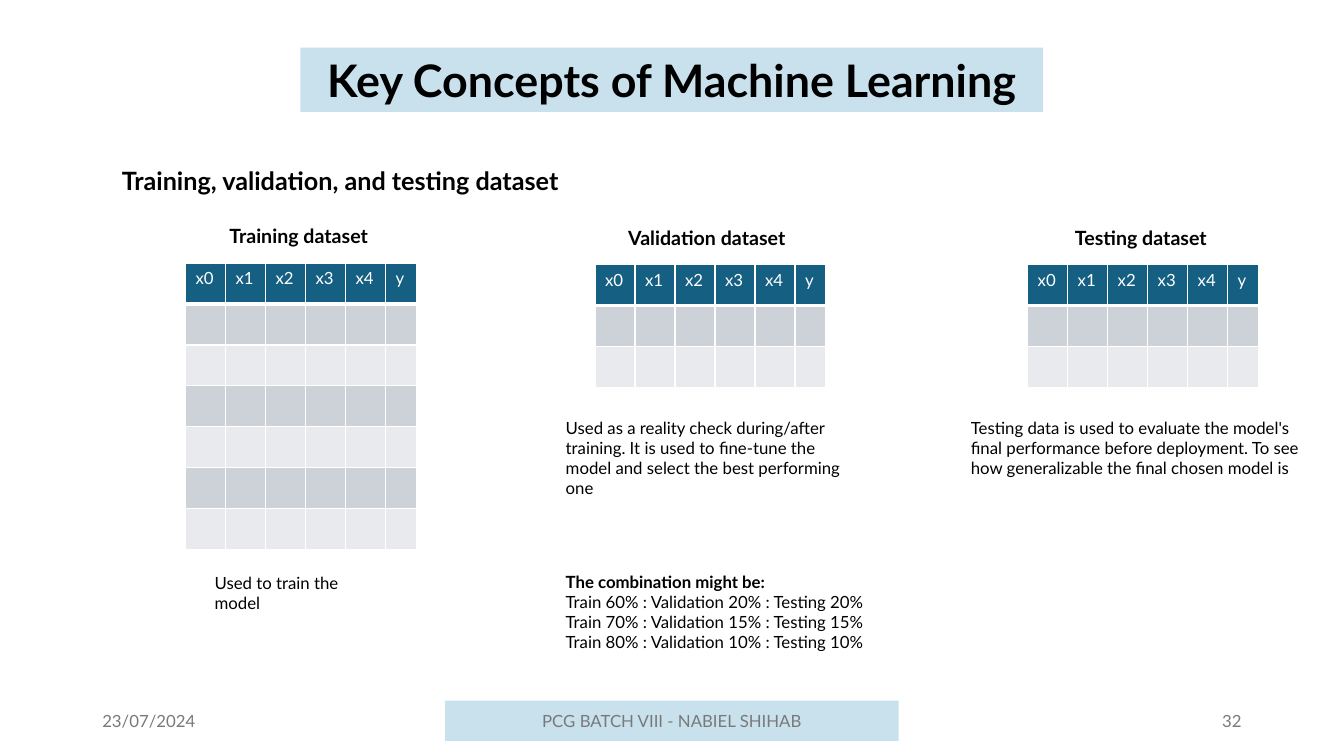
from dataclasses import dataclass

from lxml.etree import SubElement
from pptx import Presentation
from pptx.dml.color import RGBColor
from pptx.enum.shapes import MSO_SHAPE as Shape
from pptx.enum.text import MSO_ANCHOR as Anchor, MSO_AUTO_SIZE as AutoSize, PP_ALIGN as Align
from pptx.oxml.ns import qn
from pptx.util import Pt


@dataclass(frozen=True)
class Theme:
    font: str = "Lato"
    black: str = "000000"
    white: str = "FFFFFF"
    gray: str = "797979"
    pale_blue: str = "C8E1ED"
    header: str = "156082"
    bands: tuple = ("CCD2D8", "E8EAED")
    title: int = 32
    subtitle: int = 18
    heading: int = 14
    body: int = 12


THEME = Theme()

# Dataset tables
COLUMNS = ("x0", "x1", "x2", "x3", "x4", "y")
COLUMN_WIDTHS = (28.6,) * 5 + (22,)
TABLE_WIDTH = sum(COLUMN_WIDTHS)
ROW_HEIGHT = 29.2
HEADING_RISE = 31.5

# Heading, heading width, table left, table top, number of empty rows
DATASETS = (
    ("Training dataset", 116.6, 132.5, 188, 6),
    ("Validation dataset", 131.8, 425, 189, 2),
    ("Testing dataset", 111.6, 734, 189, 2),
)

# Text, left, top, width, height
DESCRIPTIONS = (
    ("Used to train the model", 146.2, 405.2, 136.8, 21.8),
    ("Used as a reality check during/after training. It is used to fine-tune the model "
     "and select the best performing one", 397, 294.5, 219.6, 65.4),
    ("Testing data is used to evaluate the model's final performance before deployment. "
     "To see how generalizable the final chosen model is", 686.4, 294.5, 259.9, 51),
)

COMBINATIONS = (
    "Train 60% : Validation 20% : Testing 20%",
    "Train 70% : Validation 15% : Testing 15%",
    "Train 80% : Validation 10% : Testing 10%",
)


def add_line(parent, tag, color, width):
    line = SubElement(parent, qn(tag), w=str(Pt(width)))
    fill = SubElement(line, qn("a:solidFill"))
    SubElement(fill, qn("a:srgbClr"), val=color)


def write_text(frame, text, size=THEME.body, color=THEME.black, bold=False,
               align=Align.LEFT, first_bold=False, outline=None):
    """Write each line of text as a paragraph of the frame."""
    for index, line in enumerate(text.split("\n")):
        paragraph = frame.add_paragraph() if index else frame.paragraphs[0]
        paragraph.alignment = align
        run = paragraph.add_run()
        run.text = line
        if outline:
            add_line(run.font._element, "a:ln", color, outline)
        run.font.name = THEME.font
        run.font.size = Pt(size)
        run.font.bold = bold or (first_bold and index == 0)
        run.font.color.rgb = RGBColor.from_string(color)


def add_text(slide, text, left, top, width, height, wrap=True, fill=None,
             anchor=Anchor.TOP, grow=True, **text_format):
    """Add a text box, or a filled rectangle when a fill is given."""
    box = tuple(Pt(length) for length in (left, top, width, height))
    if fill:
        shape = slide.shapes.add_shape(Shape.RECTANGLE, *box)
        shape.shadow.inherit = False
        shape.fill.solid()
        shape.fill.fore_color.rgb = RGBColor.from_string(fill)
        shape.line.fill.background()
    else:
        shape = slide.shapes.add_textbox(*box)
    frame = shape.text_frame
    frame.word_wrap = wrap
    frame.auto_size = AutoSize.SHAPE_TO_FIT_TEXT if grow else AutoSize.NONE
    frame.vertical_anchor = anchor
    write_text(frame, text, **text_format)


def style_cell(cell, fill, bottom_width):
    properties = cell._tc.get_or_add_tcPr()
    for side in "LRT":
        add_line(properties, f"a:ln{side}", THEME.white, 1)
    add_line(properties, "a:lnB", THEME.white, bottom_width)
    cell.fill.solid()
    cell.fill.fore_color.rgb = RGBColor.from_string(fill)


def add_dataset(slide, heading, heading_width, left, top, empty_rows):
    """Add a dataset table with its heading centred above."""
    row_count = empty_rows + 1
    table = slide.shapes.add_table(
        row_count, len(COLUMNS), Pt(left), Pt(top),
        Pt(TABLE_WIDTH), Pt(row_count * ROW_HEIGHT)).table
    for column, width in zip(table.columns, COLUMN_WIDTHS):
        column.width = Pt(width)
    for index, row in enumerate(table.rows):
        row.height = Pt(ROW_HEIGHT)
        fill = THEME.bands[(index - 1) % 2] if index else THEME.header
        for cell in row.cells:
            style_cell(cell, fill, 1 if index else 3)
    for cell, name in zip(table.rows[0].cells, COLUMNS):
        write_text(cell.text_frame, name, color=THEME.white)
    add_text(slide, heading, left + (TABLE_WIDTH - heading_width) / 2,
             top - HEADING_RISE, heading_width, 24.2,
             wrap=False, size=THEME.heading, bold=True)


def add_footer(slide):
    footer = (
        ("23/07/2024", 66, 216, Align.LEFT, None),
        ("PCG BATCH VIII - NABIEL SHIHAB", 318, 324, Align.CENTER, THEME.pale_blue),
        ("32", 678, 216, Align.RIGHT, None),
    )
    for text, left, width, align, fill in footer:
        add_text(slide, text, left, 500.5, width, 28.75, fill=fill, grow=False,
                 anchor=Anchor.MIDDLE, align=align, color=THEME.gray)


def main():
    presentation = Presentation()
    presentation.slide_width, presentation.slide_height = Pt(960), Pt(540)
    slide = presentation.slides.add_slide(presentation.slide_layouts[6])

    add_footer(slide)

    # Title and subtitle
    add_text(slide, "Key Concepts of Machine Learning", 214.6, 34, 530.6, 46,
             fill=THEME.pale_blue, size=THEME.title, bold=True,
             align=Align.CENTER, outline=0.8)
    add_text(slide, "Training, validation, and testing dataset", 79.9, 114.6, 337, 29,
             wrap=False, size=THEME.subtitle, bold=True)

    # Datasets and their uses
    for dataset in DATASETS:
        add_dataset(slide, *dataset)
    for description in DESCRIPTIONS:
        add_text(slide, *description)

    # Usual splits
    add_text(slide, "\n".join(("The combination might be:", *COMBINATIONS)),
             397, 404.6, 230.4, 65.4, wrap=False, first_bold=True)

    presentation.save("out.pptx")


if __name__ == "__main__":
    main()
